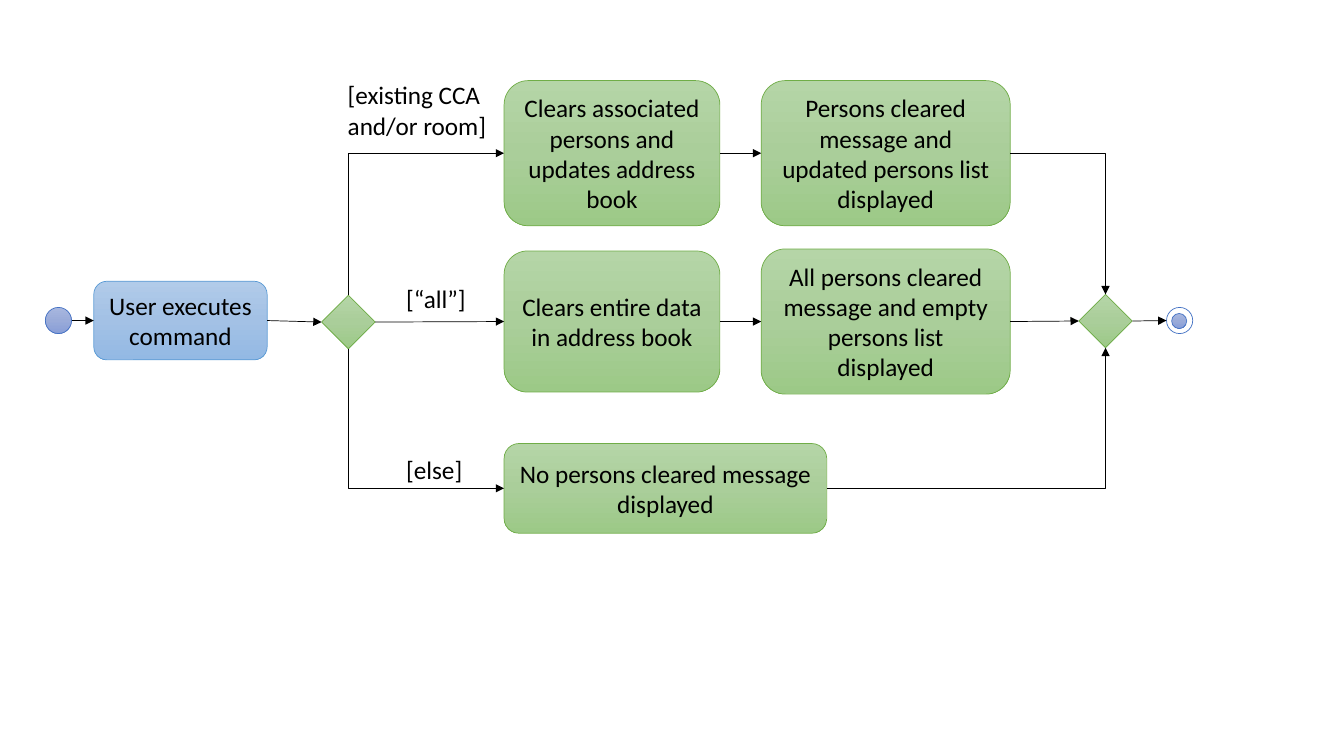
from copy import deepcopy

from pptx import Presentation
from pptx.dml.color import RGBColor
from pptx.enum.shapes import MSO_CONNECTOR, MSO_SHAPE
from pptx.enum.text import MSO_ANCHOR, MSO_AUTO_SIZE, PP_ALIGN
from pptx.oxml.ns import qn
from pptx.util import Inches, Pt

ROUND, DIAMOND, OVAL = MSO_SHAPE.ROUNDED_RECTANGLE, MSO_SHAPE.DIAMOND, MSO_SHAPE.OVAL
STRAIGHT, ELBOW = MSO_CONNECTOR.STRAIGHT, MSO_CONNECTOR.ELBOW
CENTER, MIDDLE = PP_ALIGN.CENTER, MSO_ANCHOR.MIDDLE
GROW = MSO_AUTO_SIZE.SHAPE_TO_FIT_TEXT
TOP, LEFT, BOTTOM, RIGHT = range(4)

COLORS = {
    "text": "000000",
    "ring": "FFFFFF",
    "node_line": "4472C4",
    "command_line": "5B9BD5",
    "step_line": "70AD47",
}
GRADIENTS = {
    "node": ("A8B7DF", "9AABD9", "889ED7"),
    "command": ("B1CBE9", "A3C1E5", "93B9E4"),
    "step": ("B5D5A7", "AACE9A", "9CC987"),
}
FONT = {"name": "Calibri", "size": Pt(18)}
LINE_WIDTH = Pt(0.5)


def color(name):
    return RGBColor.from_string(COLORS[name])


def side_point(sp, side):
    x, y = sp.left + sp.width // 2, sp.top + sp.height // 2
    return {
        TOP: (x, sp.top),
        LEFT: (sp.left, y),
        BOTTOM: (x, sp.top + sp.height),
        RIGHT: (sp.left + sp.width, y),
    }[side]


class ActivityDiagram:
    def __init__(self, s):
        self.s = s

    def label(self, tf, text, align=None):
        tf.word_wrap = True
        p = tf.paragraphs[0]
        p.alignment = align
        r = p.add_run()
        r.text = text
        for key, value in FONT.items():
            setattr(r.font, key, value)
        r.font.color.rgb = color("text")

    def shape(self, kind, at, style, text=None):
        sp = self.s.shapes.add_shape(kind, *map(Inches, at))
        sp.shadow.inherit = False
        sp.line.color.rgb = color(style + "_line")
        sp.line.width = LINE_WIDTH
        sp.fill.gradient()
        sp.fill.gradient_angle = 270
        stops = sp._element.spPr.find(".//" + qn("a:gsLst"))
        stops.insert(1, deepcopy(stops[0]))
        for i, (stop, shade) in enumerate(zip(sp.fill.gradient_stops, GRADIENTS[style])):
            stop.color.rgb = RGBColor.from_string(shade)
            stop.position = i / 2
        if text:
            sp.text_frame.vertical_anchor = MIDDLE
            self.label(sp.text_frame, text, CENTER)
        return sp

    def guard(self, at, text):
        tf = self.s.shapes.add_textbox(*map(Inches, at)).text_frame
        self.label(tf, text)
        tf.auto_size = GROW

    def end_node(self, at, core_at):
        ring = self.shape(OVAL, at, "node")
        ring.fill.solid()
        ring.fill.fore_color.rgb = color("ring")
        core = self.shape(OVAL, core_at, "node")
        self.s.shapes.add_group_shape([ring, core])
        return ring

    def arrow(self, start, end, start_side=RIGHT, end_side=LEFT):
        bent = (start_side, end_side) != (RIGHT, LEFT)
        (x1, y1), (x2, y2) = side_point(start, start_side), side_point(end, end_side)
        cx = self.s.shapes.add_connector(ELBOW if bent else STRAIGHT, x1, y1, x2, y2)
        if start.auto_shape_type != OVAL:
            cx.begin_connect(start, start_side)
        if end.auto_shape_type != OVAL:
            cx.end_connect(end, end_side)
        spPr = cx._element.spPr
        if bent:
            spPr.find(qn("a:prstGeom")).set("prst", "bentConnector2")
        if start_side in (TOP, BOTTOM):
            self.turn(cx, x1, y1, x2, y2)
        cx.line.color.rgb = color("text")
        cx.line.width = LINE_WIDTH
        ln = spPr.find(qn("a:ln"))
        ln.append(ln.makeelement(qn("a:tailEnd"), {"type": "triangle"}))
        spPr.append(spPr.makeelement(qn("a:effectLst"), {}))

    def turn(self, cx, x1, y1, x2, y2):
        width, height = abs(y2 - y1), abs(x2 - x1)
        cx.left, cx.top = (x1 + x2 - width) // 2, (y1 + y2 - height) // 2
        cx.width, cx.height = width, height
        down = y2 > y1
        xfrm = cx._element.spPr.find(qn("a:xfrm"))
        xfrm.set("rot", str((270 if down else 90) * 60000))
        xfrm.set("flipH", "1")
        xfrm.set("flipV", "0" if down else "1")


def main():
    prs = Presentation()
    prs.slide_width, prs.slide_height = Inches(13.33), Inches(7.5)
    d = ActivityDiagram(prs.slides.add_slide(prs.slide_layouts[6]))

    start = d.shape(OVAL, (0.45, 3.05, 0.26, 0.26), "node")
    command = d.shape(ROUND, (0.93, 2.79, 1.72, 0.78), "command", "User executes command")
    branch = d.shape(DIAMOND, (3.19, 2.93, 0.53, 0.53), "step")
    merge = d.shape(DIAMOND, (10.7, 2.92, 0.53, 0.53), "step")
    end = d.end_node((11.57, 3.05, 0.26, 0.26), (11.62, 3.11, 0.15, 0.15))

    guards = [
        ((3.35, 0.74, 1.75, 0.71), "[existing CCA and/or room]"),
        ((3.93, 2.76, 0.93, 0.4), "[“all”]"),
        ((3.93, 4.46, 0.93, 0.4), "[else]"),
    ]
    for at, text in guards:
        d.guard(at, text)

    paths = [
        (TOP, TOP, [
            ((5, 0.8, 2.14, 1.44), "Clears associated persons and updates address book"),
            ((7.55, 0.8, 2.47, 1.44),
             "Persons cleared message and updated persons list displayed"),
        ]),
        (RIGHT, LEFT, [
            ((5, 2.49, 2.14, 1.4), "Clears entire data in address book"),
            ((7.55, 2.47, 2.47, 1.44),
             "All persons cleared message and empty persons list displayed"),
        ]),
        (BOTTOM, BOTTOM, [
            ((5, 4.4, 3.2, 0.89), "No persons cleared message displayed"),
        ]),
    ]
    for leave, arrive, steps in paths:
        boxes = [d.shape(ROUND, at, "step", text) for at, text in steps]
        d.arrow(branch, boxes[0], leave)
        for box, following in zip(boxes, boxes[1:]):
            d.arrow(box, following)
        d.arrow(boxes[-1], merge, end_side=arrive)

    for source, target in ((start, command), (command, branch), (merge, end)):
        d.arrow(source, target)

    prs.save("out.pptx")


if __name__ == "__main__":
    main()
